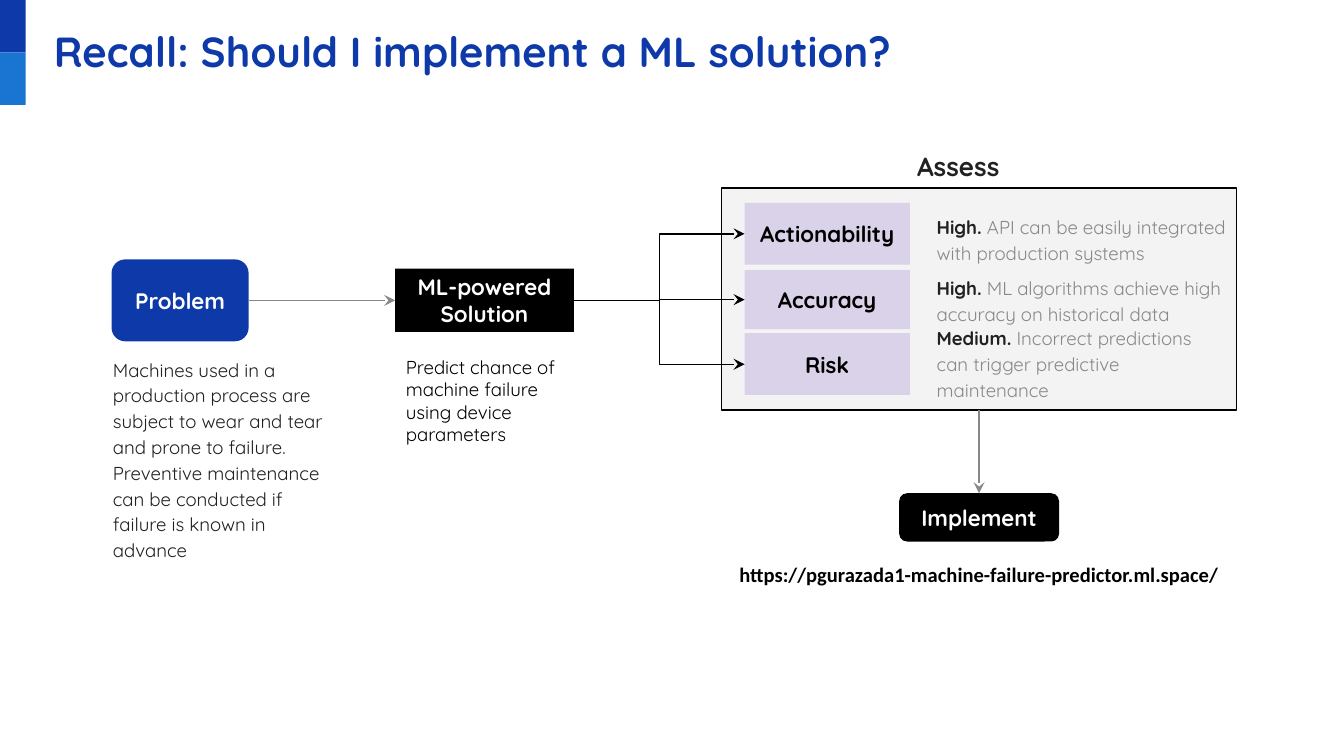
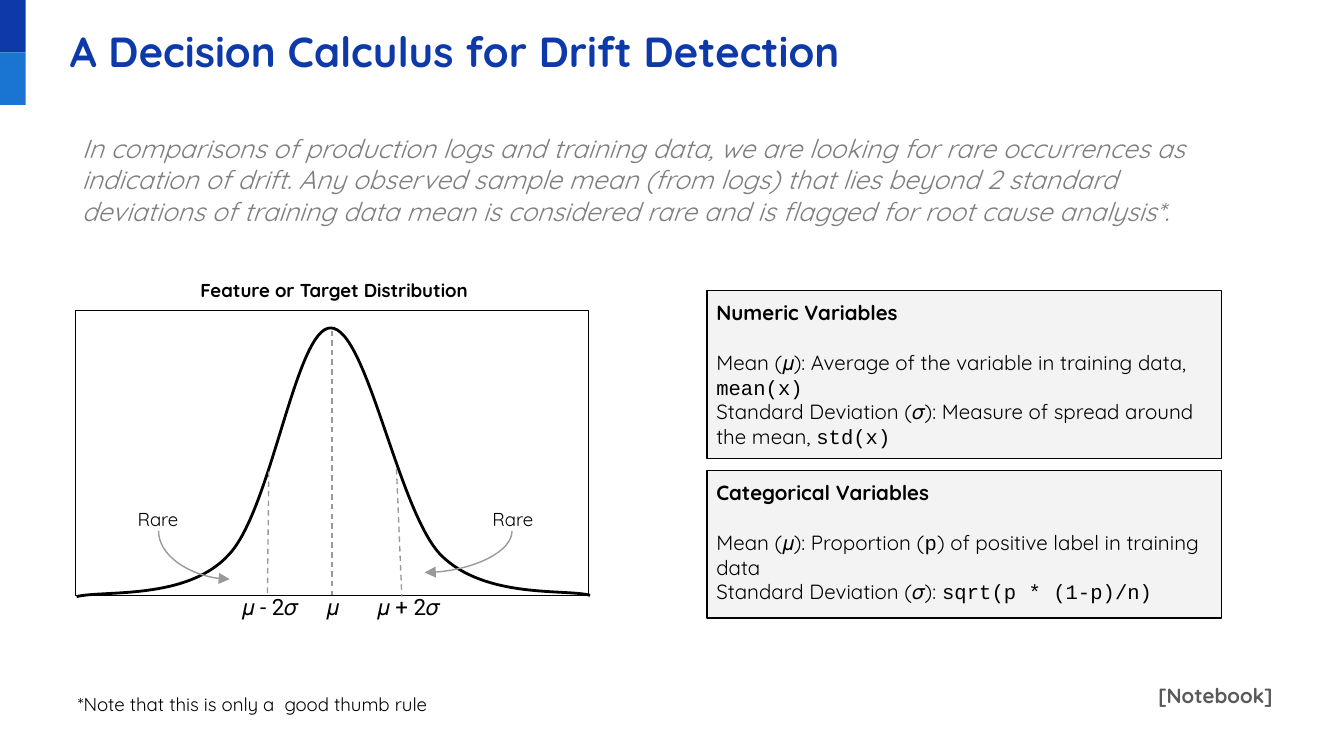
from lxml import etree
from pptx import Presentation
from pptx import util as u
from pptx.dml.color import RGBColor
from pptx.enum import dml, shapes, text
from pptx.oxml.ns import qn

NAVY = RGBColor(0x0E, 0x39, 0xA9)
BLUE = RGBColor(0x19, 0x74, 0xD2)
BLACK = RGBColor(0, 0, 0)
WHITE = RGBColor(0xFF, 0xFF, 0xFF)
INK = RGBColor(0x21, 0x21, 0x21)
SLATE = RGBColor(0x59, 0x59, 0x59)
QUOTE_GREY = RGBColor(0x7E, 0x7E, 0x7E)
GREY = RGBColor(0x88, 0x88, 0x88)
LINE_GREY = RGBColor(0x99, 0x99, 0x99)
PANEL = RGBColor(0xF3, 0xF3, 0xF3)
LILAC = RGBColor(0xD9, 0xD2, 0xE9)

RECT = shapes.MSO_SHAPE.RECTANGLE
ROUNDED = shapes.MSO_SHAPE.ROUNDED_RECTANGLE
STRAIGHT = shapes.MSO_CONNECTOR.STRAIGHT
ELBOW = shapes.MSO_CONNECTOR.ELBOW
CURVE = shapes.MSO_CONNECTOR.CURVE
LEFT, CENTER = text.PP_ALIGN.LEFT, text.PP_ALIGN.CENTER
TOP, MIDDLE = text.MSO_ANCHOR.TOP, text.MSO_ANCHOR.MIDDLE

BODY = {"name": "Quicksand", "size": u.Pt(10), "color": BLACK}
STRONG = {**BODY, "bold": True}
INK_BODY = {**BODY, "color": INK}
TITLE = {**STRONG, "size": u.Pt(22.5), "color": NAVY}
LABEL = {**STRONG, "size": u.Pt(12)}
LIGHT_LABEL = {**LABEL, "color": WHITE}
SYMBOL = {**BODY, "name": "Roboto", "size": u.Pt(12)}
CARD = {**BODY, "size": u.Pt(11)}
CARD_HEAD = {**CARD, "bold": True}
CODE = {**CARD, "name": "Courier New"}


def inches(*values):
    return [u.Inches(value) for value in values]


def write(box, paras, align=LEFT, anchor=MIDDLE, inset=0.07, spacing=None, head_gap=0):
    frame = box.text_frame
    settings = {"word_wrap": True, "vertical_anchor": anchor}
    for side in ("left", "top", "right", "bottom"):
        settings[f"margin_{side}"] = u.Inches(inset)
    for name, value in settings.items():
        setattr(frame, name, value)
    for index, spans in enumerate(paras):
        para = frame.add_paragraph() if index else frame.paragraphs[0]
        para.alignment = align
        if spacing:
            para.line_spacing = spacing
        if head_gap and index == 0:
            para.space_after = u.Pt(head_gap)
        for words, look in spans:
            span = para.add_run()
            span.text = words
            for name, value in look.items():
                if name == "color":
                    span.font.color.rgb = value
                else:
                    setattr(span.font, name, value)


def add_text(page, at, words, look, **layout):
    box = page.shapes.add_textbox(*inches(*at))
    write(box, [[(words, look)]], **layout)


def add_box(page, at, fill=None, line=None, kind=RECT):
    box = page.shapes.add_shape(kind, *inches(*at))
    box.shadow.inherit = False
    if fill is None:
        box.fill.background()
    else:
        box.fill.solid()
        box.fill.fore_color.rgb = fill
    if line is None:
        box.line.fill.background()
    else:
        box.line.color.rgb = line
        box.line.width = u.Pt(0.75)
    return box


def add_label(page, at, fill, words, look, kind=RECT, align=CENTER, inset=0.07):
    box = add_box(page, at, fill, kind=kind)
    write(box, [[(words, look)]], align=align, inset=inset)
    return box


def add_line(page, kind, start, end, color, arrow=None, dash=None):
    line = page.shapes.add_connector(kind, *inches(*start, *end))
    line.line.color.rgb = color
    line.line.width = u.Pt(0.75)
    if dash:
        line.line.dash_style = dash
    properties = line.element.spPr
    if arrow:
        tail = etree.SubElement(properties.find(qn("a:ln")), qn("a:tailEnd"))
        tail.set("type", arrow)
    etree.SubElement(properties, qn("a:effectLst"))
    return line


def join(page, kind, source, source_side, target, target_side, color):
    line = add_line(page, kind, (0, 0), (1, 1), color, "stealth")
    line.begin_connect(source, source_side)
    line.end_connect(target, target_side)


def add_hook(page, start, end):
    across, down = end[0] - start[0], end[1] - start[1]
    middle_x, middle_y = (start[0] + end[0]) / 2, (start[1] + end[1]) / 2
    half_x = down / 2 if across > 0 else -down / 2
    half_y = abs(across) / 2
    hook = add_line(page, CURVE, (middle_x + half_x, middle_y - half_y),
                    (middle_x - half_x, middle_y + half_y), LINE_GREY, "triangle")
    properties = hook.element.spPr
    properties.find(qn("a:prstGeom")).set("prst", "curvedConnector2")
    degrees = 270 if across > 0 else 90
    properties.find(qn("a:xfrm")).set("rot", str(degrees * 60000))


def add_bell(page, points):
    units = 100
    start, *rest = [(round(x * units), round(y * units)) for x, y in points]
    builder = page.shapes.build_freeform(*start, scale=u.Inches(1) / units)
    builder.add_line_segments(rest, close=False)
    bell = builder.convert_to_shape()
    outline = bell.element.spPr.find(".//" + qn("a:path"))
    segments = outline.findall(qn("a:lnTo"))
    for first in range(0, len(segments), 3):
        curve = etree.SubElement(outline, qn("a:cubicBezTo"))
        for segment in segments[first:first + 3]:
            curve.append(segment[0])
            outline.remove(segment)
    bell.shadow.inherit = False
    bell.fill.background()
    bell.line.color.rgb = BLACK
    bell.line.width = u.Pt(1.5)


def add_page(deck, title, title_left):
    page = deck.slides.add_slide(deck.slide_layouts[6])
    for index, color in enumerate((NAVY, BLUE)):
        add_box(page, (0, index * 0.39, 0.19, 0.39), color)
    add_text(page, (title_left, 0.18, 8.98, 0.41), title, TITLE, anchor=TOP, inset=0.01)
    return page


def add_assessment(page):
    frame = add_box(page, (5.37, 1.4, 3.83, 1.65), PANEL, BLACK)
    add_text(page, (6.27, 0.88, 1.72, 0.68), "Assess",
             {**STRONG, "size": u.Pt(14), "color": INK}, align=CENTER, spacing=1.15)
    criteria = [
        ("Actionability", 1.51, 0.46, 1.5, "High. ",
         "API can be easily integrated with production systems"),
        ("Accuracy", 2.01, 0.44, 1.95, "High. ",
         "ML algorithms achieve high accuracy on historical data"),
        ("Risk", 2.48, 0.46, 2.42, "Medium. ",
         "Incorrect predictions can trigger predictive maintenance"),
    ]
    labels = []
    for name, top, height, note_top, rating, reason in criteria:
        labels.append(add_label(page, (5.54, top, 1.23, height), LILAC, name, LABEL))
        note = page.shapes.add_textbox(*inches(6.9, note_top, 2.3, 0.55))
        write(note, [[(rating, {**STRONG, "color": INK}),
                      (reason, {**BODY, "color": GREY})]], spacing=1.15)
    return frame, labels


def add_solution_page(deck):
    page = add_page(deck, "Recall: Should I implement a ML solution?", 0.39)
    frame, criteria = add_assessment(page)
    problem = add_label(page, (0.83, 1.93, 1.02, 0.61), NAVY, "Problem", LIGHT_LABEL,
                        ROUNDED, inset=0.1)
    solution = add_label(page, (2.94, 2, 1.33, 0.47), BLACK, "ML-powered Solution",
                         LIGHT_LABEL)
    implement = add_label(page, (6.69, 3.67, 1.19, 0.36), BLACK, "Implement",
                          LIGHT_LABEL, ROUNDED, inset=0.1)
    add_text(page, (0.77, 2.64, 1.72, 1.54),
             "Machines used in a production process are subject to wear and tear and "
             "prone to failure. Preventive maintenance can be conducted if failure is "
             "known in advance", INK_BODY, spacing=1.15)
    add_text(page, (2.95, 2.64, 1.45, 0.68),
             "Predict chance of machine failure using device parameters", BODY)
    add_text(page, (5.31, 4.09, 3.95, 0.36),
             "https://pgurazada1-machine-failure-predictor.ml.space/",
             {**CARD_HEAD, "name": "Calibri"}, align=CENTER)
    join(page, CURVE, problem, 3, solution, 1, GREY)
    join(page, CURVE, frame, 2, implement, 0, GREY)
    for criterion in criteria:
        join(page, ELBOW, solution, 3, criterion, 1, BLACK)


def add_distribution(page):
    add_box(page, (0.56, 2.31, 3.82, 2.12), line=BLACK)
    add_bell(page, [(0.57, 4.44), (0.76, 4.39), (1.39, 4.47), (1.7, 4.13),
                    (2.02, 3.8), (2.2, 2.44), (2.46, 2.44),
                    (2.73, 2.44), (2.96, 3.8), (3.28, 4.13),
                    (3.61, 4.46), (4.21, 4.38), (4.39, 4.43)])
    for start, end in [((2.47, 2.46), (2.47, 4.43)), ((2, 3.51), (1.99, 4.43)),
                       ((2.95, 3.49), (2.99, 4.44))]:
        add_line(page, STRAIGHT, start, end, LINE_GREY, dash=dml.MSO_LINE.DASH)
    for left, start, end in [(0.92, (1.18, 3.95), (1.71, 4.31)),
                             (3.56, (3.81, 3.95), (3.16, 4.26))]:
        add_label(page, (left, 3.78, 0.51, 0.17), WHITE, "Rare", BODY)
        add_hook(page, start, end)
    add_label(page, (1.36, 2.07, 2.25, 0.17), WHITE, "Feature or Target Distribution",
              STRONG)
    for left, width, symbol in [(1.66, 0.74, "𝜇 - 2𝜎 "), (2.32, 0.31, "𝜇"),
                                (2.6, 0.92, "𝜇 + 2𝜎 ")]:
        add_text(page, (left, 4.31, width, 0.41), symbol, SYMBOL, align=CENTER, inset=0.1)


def add_card(page, top, height, heading, lines):
    card = add_box(page, (5.26, top, 3.83, height), PANEL, BLACK)
    write(card, [[(heading, CARD_HEAD)], *lines], anchor=TOP, head_gap=13.75)


def add_drift_page(deck):
    page = add_page(deck, "A Decision Calculus for Drift Detection", 0.51)
    add_distribution(page)
    add_text(page, (0.51, 0.88, 8.65, 0.91),
             "In comparisons of production logs and training data, we are looking for "
             "rare occurrences as indication of drift. Any observed sample mean (from "
             "logs) that lies beyond 2 standard deviations of training data mean is "
             "considered rare and is flagged for root cause analysis*.",
             {**BODY, "size": u.Pt(14), "color": QUOTE_GREY, "italic": True}, inset=0.1)
    add_card(page, 2.16, 1.25, "Numeric Variables", [
        [("Mean (𝜇): Average of the variable in training data, ", CARD),
         ("mean(x)", CODE)],
        [("Standard Deviation (𝜎): Measure of spread around the mean, ", CARD),
         ("std(x)", CODE)],
    ])
    add_card(page, 3.5, 1.1, "Categorical Variables", [
        [("Mean (𝜇): Proportion (", CARD), ("p", CODE),
         (") of positive label in training data", CARD)],
        [("Standard Deviation (𝜎): ", CARD), ("sqrt(p * (1-p)/n)", CODE)],
    ])
    add_label(page, (0.51, 5.09, 4.6, 0.3), WHITE,
              "*Note that this is only a  good thumb rule", BODY, align=LEFT)
    add_text(page, (8.46, 4.96, 1.17, 0.43), "[Notebook]",
             {**CARD_HEAD, "color": SLATE}, align=CENTER, inset=0.1)


def main():
    deck = Presentation()
    deck.slide_width = u.Inches(10)
    deck.slide_height = u.Inches(10 * 9 / 16)
    add_solution_page(deck)
    add_drift_page(deck)
    deck.save("out.pptx")


if __name__ == "__main__":
    main()
